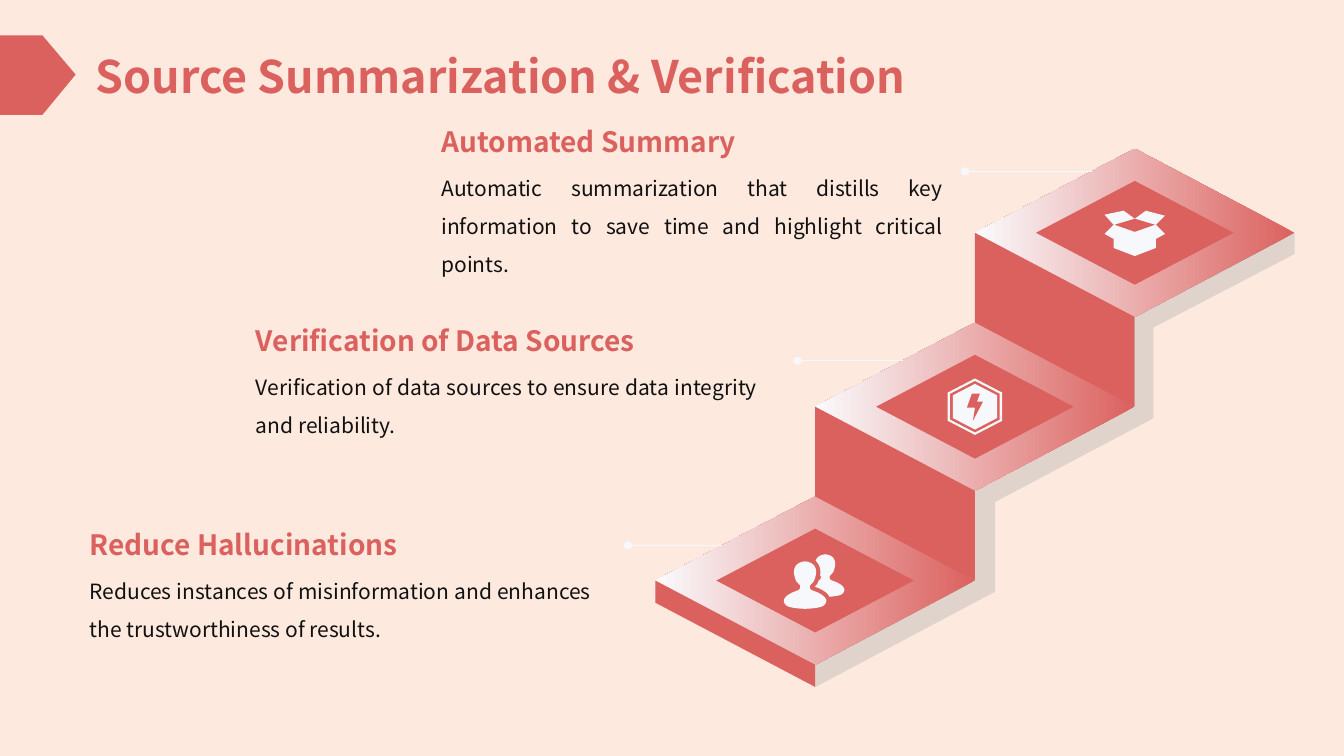
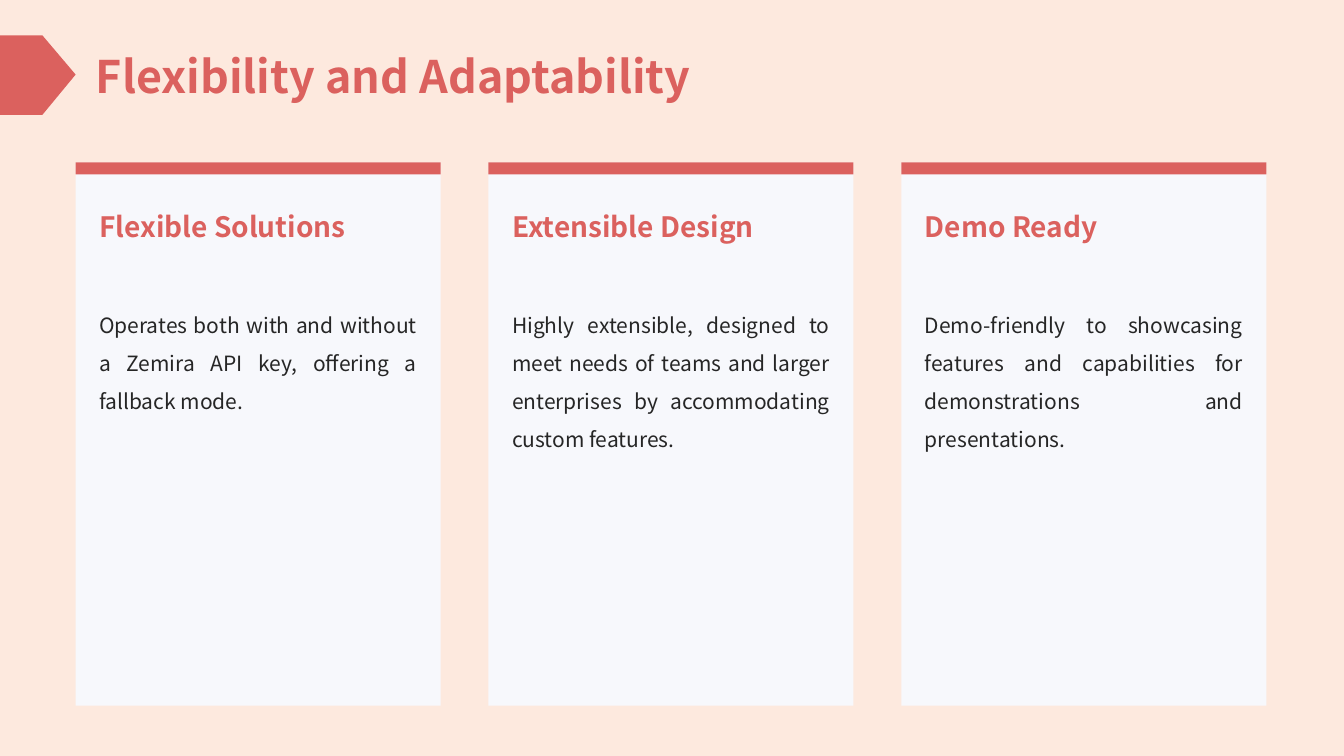
from pptx import Presentation
from pptx import util as u
from pptx.dml.color import RGBColor
from pptx.enum import shapes, text
from pptx.oxml.ns import qn
from lxml import etree

FONT = "Noto Sans CJK SC"
CORAL, PEACH, WHITE = "DB615E", "FDE9DE", "F7F8FC"
INK, CHARCOAL, SHADE = "111111", "262626", "ACACAC"
WIDTH, HEIGHT = 13.33, 7.5

STAIRS_TITLE = "Source Summarization & Verification"
STAIRS = [
    ("Reduce Hallucinations",
     "Reduces instances of misinformation and enhances the trustworthiness of results.",
     (0.79, 5.16), (6.23, 7.16, 5.41)),
    ("Verification of Data Sources",
     "Verification of data sources to ensure data integrity and reliability.",
     (2.44, 3.13), (7.91, 8.96, 3.58)),
    ("Automated Summary",
     "Automatic summarization that distills key information to save time and "
     "highlight critical points.",
     (4.28, 1.16), (9.57, 10.83, 1.7)),
]
CARDS_TITLE = "Flexibility and Adaptability"
CARDS = [
    ("Flexible Solutions",
     "Operates both with and without a Zemira API key, offering a fallback mode."),
    ("Extensible Design",
     "Highly extensible, designed to meet needs of teams and larger enterprises "
     "by accommodating custom features."),
    ("Demo Ready",
     "Demo-friendly to showcasing features and capabilities for demonstrations "
     "and presentations."),
]

HALF_W, HALF_H, RISE, EDGE = 1.585, 0.835, 1.725, 0.22
FIRST_X, FIRST_Y = 8.085, 5.76
SHADOW = [(11.25, 3.15), (11.25, 4.04), (9.67, 4.88), (9.67, 5.76), (8.08, 6.6),
          (8.08, 6.82), (9.87, 5.87), (9.87, 4.98), (11.44, 4.15), (11.44, 3.25),
          (12.84, 2.52), (12.84, 2.31)]
BOX = [(-.21, .06), (-.21, .15), (0, .23), (.21, .15), (.21, .06), (.3, .01),
       (.21, -.08), (.3, -.17), (.11, -.22), (0, -.14), (-.11, -.22),
       (-.3, -.18), (-.21, -.08), (-.3, .01)]
BOX_HOLE = [(-.2, -.08), (0, -.14), (.2, -.08), (0, -.01)]
HEXAGON = [(0, -.28), (.27, -.14), (.27, .14), (0, .28), (-.27, .14), (-.27, -.14)]
BOLT = [(-.03, -.13), (.05, -.13), (.02, -.05), (.08, -.05), (-.02, .14),
        (0, .01), (-.08, .01)]
PERSON_SIDE = [(0, 0), (.08, .03), (.11, .1), (.09, .19), (.05, .24), (.06, .28),
               (.13, .31), (.19, .35), (.21, .4), (.16, .45), (0, .47)]


def rgb(value):
    return RGBColor.from_string(value)


def paint(shape, color, alpha=None, outline=0):
    shape.shadow.inherit = False
    shape.fill.solid()
    shape.fill.fore_color.rgb = rgb(color)
    if alpha:
        node = shape.fill._xPr.find(qn("a:solidFill"))[0]
        etree.SubElement(node, qn("a:alpha"), val=str(alpha * 1000))
    if outline:
        shape.line.color.rgb = rgb(color)
        shape.line.width = u.Pt(outline)
    else:
        shape.line.fill.background()


def polygon(page, points, color=CORAL, at=(0, 0), scale=1, **look):
    spots = [(u.Inches(at[0] + x * scale), u.Inches(at[1] + y * scale))
             for x, y in points]
    builder = page.shapes.build_freeform(*spots[0], scale=1.0)
    builder.add_line_segments(spots[1:], close=True)
    shape = builder.convert_to_shape()
    paint(shape, color, **look)
    return shape


def rectangle(page, left, top, width, height, color):
    place = [u.Inches(v) for v in (left, top, width, height)]
    paint(page.shapes.add_shape(shapes.MSO_SHAPE.RECTANGLE, *place), color)


def write(frame, words, size=15, color=INK, bold=False, spacing=1.0,
          justify=False, anchor=text.MSO_ANCHOR.TOP):
    frame.word_wrap = True
    frame.auto_size = text.MSO_AUTO_SIZE.NONE
    frame.vertical_anchor = anchor
    para = frame.paragraphs[0]
    para.alignment = text.PP_ALIGN.JUSTIFY if justify else text.PP_ALIGN.LEFT
    para.line_spacing = spacing
    span = para.add_run()
    span.text = words
    span.font.name = FONT
    span.font.size = u.Pt(size)
    span.font.bold = bold
    span.font.color.rgb = rgb(color)


def text_box(page, left, top, width, height, words, **look):
    box = page.shapes.add_textbox(*[u.Inches(v) for v in (left, top, width, height)])
    write(box.text_frame, words, **look)


def heading(page, left, top, width, height, words, spacing):
    text_box(page, left, top, width, height, words, size=20, color=CORAL,
             bold=True, spacing=spacing)


def new_page(deck, words):
    page = deck.slides.add_slide(deck.slide_layouts[5])
    title = page.shapes.title
    title.left, title.top = u.Inches(0.85), u.Inches(0.35)
    title.width, title.height = u.Inches(11.81), u.Inches(0.79)
    write(title.text_frame, words, size=32, color=CORAL, bold=True,
          anchor=text.MSO_ANCHOR.MIDDLE)
    polygon(page, [(0, .35), (.42, .35), (.75, .74), (.42, 1.14), (0, 1.14)])
    return page


def diamond(half_w, half_h):
    return [(0, half_h), (-half_w, 0), (0, -half_h), (half_w, 0)]


def smooth(points, steps=5):
    curve = []
    for i in range(len(points)):
        a, b, c, d = (points[(i + k) % len(points)] for k in (-1, 0, 1, 2))
        for step in range(steps):
            t = step / steps
            curve.append(tuple(
                b[n] + t * (c[n] - a[n]) / 2
                + t ** 2 * (2 * a[n] - 5 * b[n] + 4 * c[n] - d[n]) / 2
                + t ** 3 * (3 * b[n] - a[n] - 3 * c[n] + d[n]) / 2
                for n in (0, 1)))
    return curve


def people_icon(page, x, y):
    person = smooth(PERSON_SIDE + [(-px, py) for px, py in PERSON_SIDE[-2:0:-1]])
    front = (x - 0.1, y - 0.19)
    polygon(page, person, WHITE, at=(x + 0.1, y - 0.26), scale=0.9)
    polygon(page, person, CORAL, at=front, outline=6)
    polygon(page, person, WHITE, at=front)


def bolt_icon(page, x, y):
    for scale, color in ((1, WHITE), (0.91, CORAL), (0.81, WHITE)):
        polygon(page, HEXAGON, color, at=(x, y), scale=scale)
    polygon(page, BOLT, at=(x, y))


def box_icon(page, x, y):
    polygon(page, BOX, WHITE, at=(x, y))
    polygon(page, BOX_HOLE, at=(x, y))


def tile(page, x, y):
    top = polygon(page, diamond(HALF_W, HALF_H), at=(x, y))
    top.fill.gradient()
    top.fill.gradient_angle = 180
    for stop, color in zip(top.fill.gradient_stops, (CORAL, "FAFBFD")):
        stop.color.rgb = rgb(color)
    polygon(page, diamond(0.98, 0.515), at=(x, y))


def callout(page, start, end, y):
    line = page.shapes.add_connector(
        shapes.MSO_CONNECTOR.STRAIGHT,
        *[u.Inches(v) for v in (start, y, end, y)])
    line.line.color.rgb = rgb(WHITE)
    line.line.width = u.Pt(0.75)
    etree.SubElement(line.line._get_or_add_ln(), qn("a:headEnd"), type="oval")
    etree.SubElement(line._element.spPr, qn("a:effectLst"))


def build_stairs(deck):
    page = new_page(deck, STAIRS_TITLE)
    centers = [(FIRST_X + i * HALF_W, FIRST_Y - i * RISE) for i in range(len(STAIRS))]
    for x, y in centers:
        tile(page, x, y)
    for (x, y), (next_x, next_y) in zip(centers, centers[1:]):
        polygon(page, [(x, next_y), (x, y - HALF_H), (next_x, y),
                       (next_x, next_y + HALF_H)])
    polygon(page, SHADOW, SHADE, alpha=35)
    x, y = centers[0]
    polygon(page, [(x, y + HALF_H), (x - HALF_W, y), (x - HALF_W, y + EDGE),
                   (x, y + HALF_H + EDGE)])
    for icon, center in zip((people_icon, bolt_icon, box_icon), centers):
        icon(page, *center)
    for name, detail, (left, top), line in STAIRS:
        callout(page, *line)
        text_box(page, left, top + 0.41, 5.17, 1.63, detail, spacing=1.5, justify=True)
        heading(page, left, top, 5.17, 0.5, name, 1.08)


def build_cards(deck):
    page = new_page(deck, CARDS_TITLE)
    left, top, width, gap, inset = 0.75, 1.61, 3.62, 0.475, 0.135
    for i, (name, detail) in enumerate(CARDS):
        x = left + i * (width + gap)
        rectangle(page, x, top, width, 5.39, WHITE)
        rectangle(page, x, top, width, 0.12, CORAL)
        heading(page, x + inset, 2, width - 2 * inset, 0.87, name, 1.1)
        text_box(page, x + inset, 2.93, width - 2 * inset, 3.15, detail,
                 color=CHARCOAL, spacing=1.5, justify=True)


def main():
    deck = Presentation()
    deck.slide_width, deck.slide_height = u.Inches(WIDTH), u.Inches(HEIGHT)
    background = deck.slide_master.background.fill
    background.solid()
    background.fore_color.rgb = rgb(PEACH)
    build_stairs(deck)
    build_cards(deck)
    deck.save("out.pptx")


if __name__ == "__main__":
    main()
